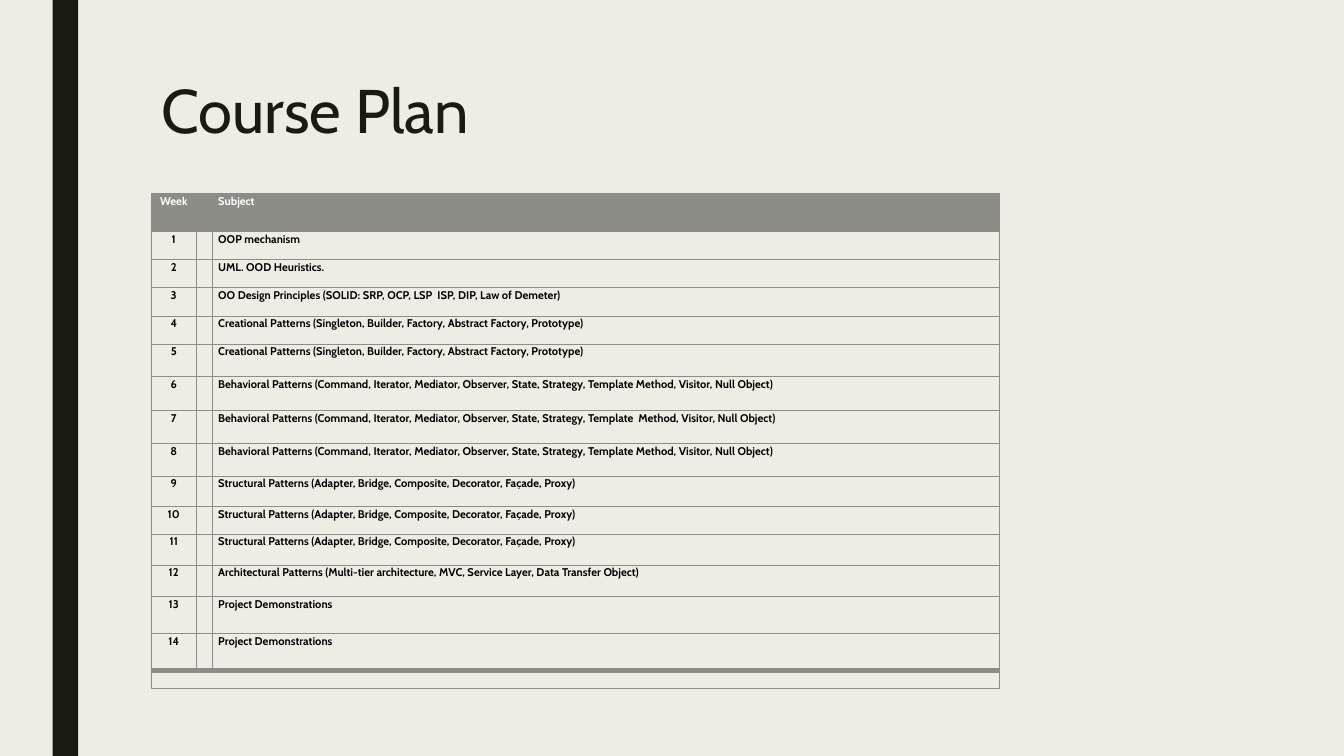
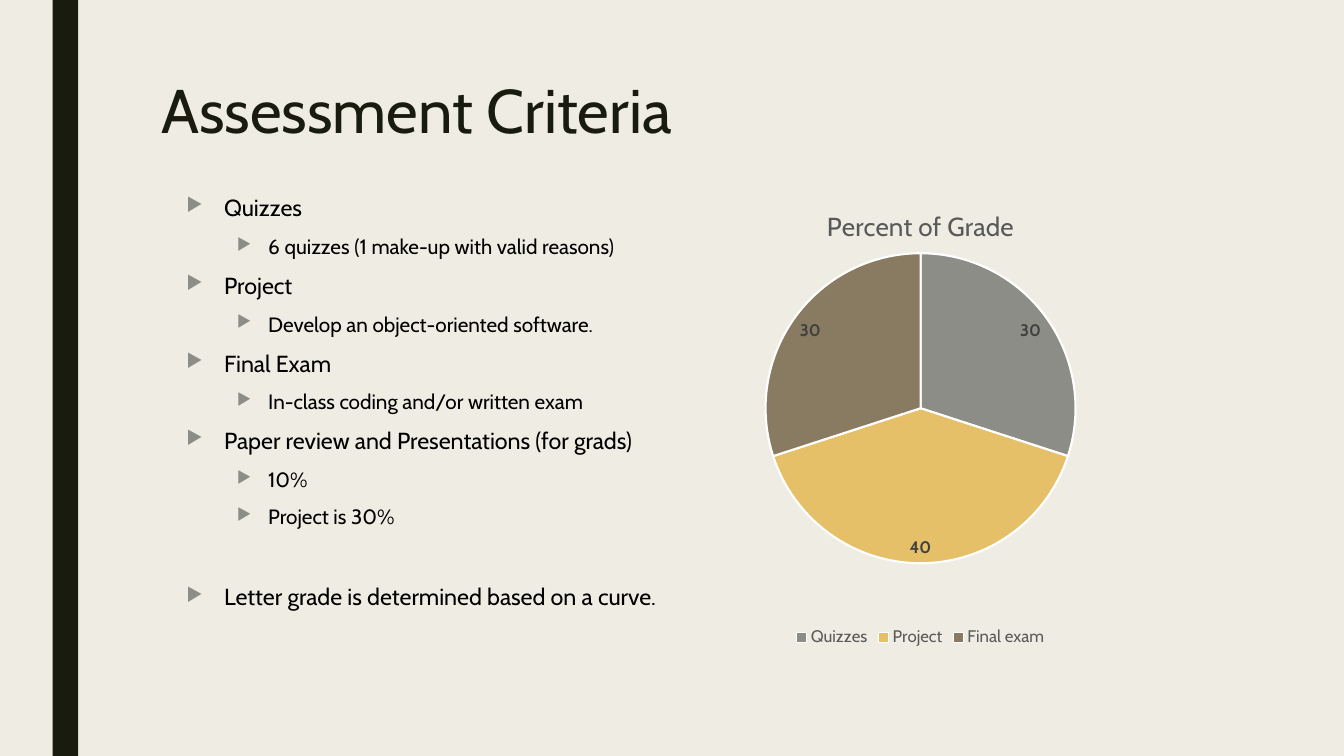
"""Build a course plan table slide and an assessment criteria slide."""
from dataclasses import dataclass

from lxml import etree
from pptx import Presentation
from pptx.chart.data import CategoryChartData
from pptx.dml.color import RGBColor
from pptx.enum.chart import XL_CHART_TYPE, XL_LABEL_POSITION, XL_LEGEND_POSITION
from pptx.enum.shapes import MSO_SHAPE
from pptx.enum.text import MSO_ANCHOR, MSO_AUTO_SIZE, PP_ALIGN
from pptx.oxml.ns import qn
from pptx.util import Cm, Pt

PIE = XL_CHART_TYPE.PIE
INSIDE_END = XL_LABEL_POSITION.INSIDE_END
LEGEND_BOTTOM = XL_LEGEND_POSITION.BOTTOM
RECTANGLE = MSO_SHAPE.RECTANGLE
TOP = MSO_ANCHOR.TOP
NO_AUTOFIT = MSO_AUTO_SIZE.NONE
LEFT, CENTER = PP_ALIGN.LEFT, PP_ALIGN.CENTER


@dataclass(frozen=True)
class Theme:
    font: str = "Cabin"
    background: str = "EFEDE3"
    dark: str = "191B0E"
    gray: str = "8C8D86"
    gold: str = "E6C069"
    brown: str = "897B61"
    black: str = "000000"
    white: str = "FFFFFF"
    chart_text: str = "595959"
    label_text: str = "404040"
    title_size: float = 44
    table_size: float = 8
    bullet_sizes: tuple = (16.6, 14.8)
    chart_title_size: float = 18.6
    chart_size: float = 12


THEME = Theme()

CREATIONAL = "Creational Patterns (Singleton, Builder, Factory, Abstract Factory, Prototype)"
BEHAVIORAL = ("Behavioral Patterns (Command, Iterator, Mediator, Observer, State, "
              "Strategy, Template Method, Visitor, Null Object)")
STRUCTURAL = "Structural Patterns (Adapter, Bridge, Composite, Decorator, Façade, Proxy)"
SUBJECTS = [
    ("OOP mechanism", 0.71),
    ("UML. OOD Heuristics.", 0.71),
    ("OO Design Principles (SOLID: SRP, OCP, LSP  ISP, DIP, Law of Demeter)", 0.71),
    (CREATIONAL, 0.71),
    (CREATIONAL, 0.81),
    (BEHAVIORAL, 0.86),
    (BEHAVIORAL.replace("Template Method", "Template  Method"), 0.84),
    (BEHAVIORAL, 0.81),
    (STRUCTURAL, 0.78),
    (STRUCTURAL, 0.69),
    (STRUCTURAL, 0.78),
    ("Architectural Patterns (Multi-tier architecture, MVC, Service Layer, "
     "Data Transfer Object)", 0.79),
    ("Project Demonstrations", 0.93),
    ("Project Demonstrations", 0.93),
]
PLAN_ROWS = [
    ("Week", "Subject", 0.96),
    *((str(week), subject, height) for week, (subject, height) in enumerate(SUBJECTS, 1)),
    ("", "", 0.46),
]
PLAN_COLUMNS = (1.14, 0.4, 19.84)
THIN, THICK = 0.5, 4

CRITERIA = [
    (0, "Quizzes", 1),
    (1, "6 quizzes (1 make-up with valid reasons)", 2.8),
    (0, "Project", 3),
    (1, "Develop an object-oriented software.", 2.8),
    (0, "Final Exam", 3),
    (1, "In-class coding and/or written exam", 2.8),
    (0, "Paper review and Presentations (for grads)", 3),
    (1, "10%", 2.8),
    (1, "Project is 30%", 2.8),
    (0, "Letter grade is determined based on a curve.", 32.5),
]
BULLET_INDENTS = ((0.95, 0.95), (2.06, 0.79))

GRADE_TITLE = "Percent of Grade"
GRADES = [
    ("Quizzes", 30, THEME.gray),
    ("Project", 40, THEME.gold),
    ("Final exam", 30, THEME.brown),
]
PLOT_LAYOUT = {
    "layoutTarget": "inner", "xMode": "edge", "yMode": "edge",
    "x": 0.18, "y": 0.14, "w": 0.64, "h": 0.67,
}


def add_xml(parent, tag, **attributes):
    child = etree.SubElement(parent, qn(tag))
    for name, value in attributes.items():
        child.set(name, str(value))
    return child


def set_values(target, **values):
    for name, value in values.items():
        setattr(target, name, value)


def format_font(font, size, color, bold=False):
    set_values(font, name=THEME.font, size=Pt(size), bold=bold)
    font.color.rgb = RGBColor.from_string(color)


def paint(fill, color):
    fill.solid()
    fill.fore_color.rgb = RGBColor.from_string(color)


def box(left, top, width, height):
    return Cm(left), Cm(top), Cm(width), Cm(height)


def add_titled_slide(presentation, layout, title_text):
    slide = presentation.slides.add_slide(layout)
    title = slide.shapes.title
    left, top, width, height = box(3.81, 1.9, 26.67, 4.11)
    set_values(title, left=left, top=top, width=width, height=height)
    set_values(title.text_frame, text=title_text, vertical_anchor=TOP,
               word_wrap=True, auto_size=NO_AUTOFIT)
    paragraph = title.text_frame.paragraphs[0]
    set_values(paragraph, alignment=LEFT, line_spacing=0.89)
    format_font(paragraph.runs[0].font, THEME.title_size, THEME.dark)
    return slide


def add_band(slide, layout):
    band = slide.shapes.add_shape(RECTANGLE, *box(1.33, 0, 0.64, 19.05))
    band.shadow.inherit = False
    paint(band.fill, THEME.dark)
    band.line.fill.background()
    layout.shapes.element.append(band.element)


def add_borders(cell, top, bottom):
    properties = cell._tc.get_or_add_tcPr()
    widths = {"a:lnL": THIN, "a:lnR": THIN, "a:lnT": top, "a:lnB": bottom}
    for tag, width in widths.items():
        line = add_xml(properties, tag, w=int(Pt(width)))
        add_xml(add_xml(line, "a:solidFill"), "a:srgbClr", val=THEME.gray)


def fill_cell(cell, text, alignment, is_header):
    set_values(cell, margin_left=Cm(0.15), margin_right=Cm(0.15),
               margin_top=0, margin_bottom=0)
    paragraph = cell.text_frame.paragraphs[0]
    if text:
        set_values(paragraph, alignment=alignment, line_spacing=1.07,
                   space_before=Pt(1), space_after=Pt(1))
        run = paragraph.add_run()
        run.text = text
        color = THEME.white if is_header else THEME.black
        format_font(run.font, THEME.table_size, color, bold=True)
    else:
        add_xml(paragraph._p, "a:endParaRPr", sz=int(THEME.table_size * 100))
    if is_header:
        paint(cell.fill, THEME.gray)
    else:
        cell.fill.background()


def add_plan_table(slide):
    heights = [height for _, _, height in PLAN_ROWS]
    table = slide.shapes.add_table(
        len(PLAN_ROWS), len(PLAN_COLUMNS),
        *box(3.81, 4.87, sum(PLAN_COLUMNS), sum(heights))).table
    set_values(table, first_row=False, horz_banding=False)
    for column, width in zip(table.columns, PLAN_COLUMNS):
        column.width = Cm(width)
    last = len(PLAN_ROWS) - 1
    for index, (week, subject, height) in enumerate(PLAN_ROWS):
        table.rows[index].height = Cm(height)
        top = THICK if index == last else THIN
        bottom = THICK if index == last - 1 else THIN
        texts = ((week, CENTER), ("", LEFT), (subject, LEFT))
        for position, (text, alignment) in enumerate(texts):
            cell = table.cell(index, position)
            add_borders(cell, top, bottom)
            fill_cell(cell, text, alignment, index == 0)
    table.cell(last, 0).merge(table.cell(last, len(PLAN_COLUMNS) - 1))


def add_bullet(paragraph, level):
    margin, hanging = BULLET_INDENTS[level]
    properties = paragraph._p.get_or_add_pPr()
    properties.set("marL", str(int(Cm(margin))))
    properties.set("indent", str(-int(Cm(hanging))))
    add_xml(add_xml(properties, "a:buClr"), "a:srgbClr", val=THEME.gray)
    add_xml(properties, "a:buSzPct", val=80000)
    add_xml(properties, "a:buChar", char="▶")


def add_criteria(slide):
    frame = slide.shapes.add_textbox(*box(4.45, 4.75, 12.85, 11.66)).text_frame
    frame.word_wrap = True
    for index, (level, text, gap) in enumerate(CRITERIA):
        paragraph = frame.add_paragraph() if index else frame.paragraphs[0]
        set_values(paragraph, level=level, space_before=Pt(gap), space_after=Pt(6))
        add_bullet(paragraph, level)
        run = paragraph.add_run()
        run.text = text
        format_font(run.font, THEME.bullet_sizes[level], THEME.black)


def place_plot(chart):
    plot_area = chart.element.xpath(".//c:plotArea")[0]
    for old_layout in plot_area.findall(qn("c:layout")):
        plot_area.remove(old_layout)
    layout = etree.Element(qn("c:layout"))
    manual = add_xml(layout, "c:manualLayout")
    for name, value in PLOT_LAYOUT.items():
        add_xml(manual, f"c:{name}", val=value)
    plot_area.insert(0, layout)


def add_grade_chart(slide):
    data = CategoryChartData()
    data.categories = [name for name, _, _ in GRADES]
    data.add_series(GRADE_TITLE, [value for _, value, _ in GRADES])
    chart = slide.shapes.add_chart(PIE, *box(17.09, 4.75, 12.22, 11.66), data).chart
    format_font(chart.font, THEME.chart_size, THEME.black)
    set_values(chart, has_title=True, has_legend=True)
    title = chart.chart_title.text_frame
    title.text = GRADE_TITLE
    format_font(title.paragraphs[0].runs[0].font, THEME.chart_title_size, THEME.chart_text)
    set_values(chart.legend, position=LEGEND_BOTTOM, include_in_layout=False)
    format_font(chart.legend.font, THEME.chart_size, THEME.chart_text)
    plot = chart.plots[0]
    set_values(plot, vary_by_categories=True, has_data_labels=True)
    set_values(plot.data_labels, show_value=True, show_percentage=False,
               position=INSIDE_END)
    format_font(plot.data_labels.font, THEME.chart_size, THEME.label_text, bold=True)
    for index, (_, _, color) in enumerate(GRADES):
        slice_format = plot.series[0].points[index].format
        paint(slice_format.fill, color)
        paint(slice_format.line.fill, THEME.white)
        slice_format.line.width = Pt(1.5)
    place_plot(chart)


def main():
    presentation = Presentation()
    set_values(presentation, slide_width=Cm(33.87), slide_height=Cm(19.05))
    layout = presentation.slide_layouts[5]
    paint(layout.background.fill, THEME.background)
    plan_slide = add_titled_slide(presentation, layout, "Course Plan")
    add_band(plan_slide, layout)
    add_plan_table(plan_slide)
    criteria_slide = add_titled_slide(presentation, layout, "Assessment Criteria")
    add_criteria(criteria_slide)
    add_grade_chart(criteria_slide)
    presentation.save("out.pptx")


if __name__ == "__main__":
    main()
